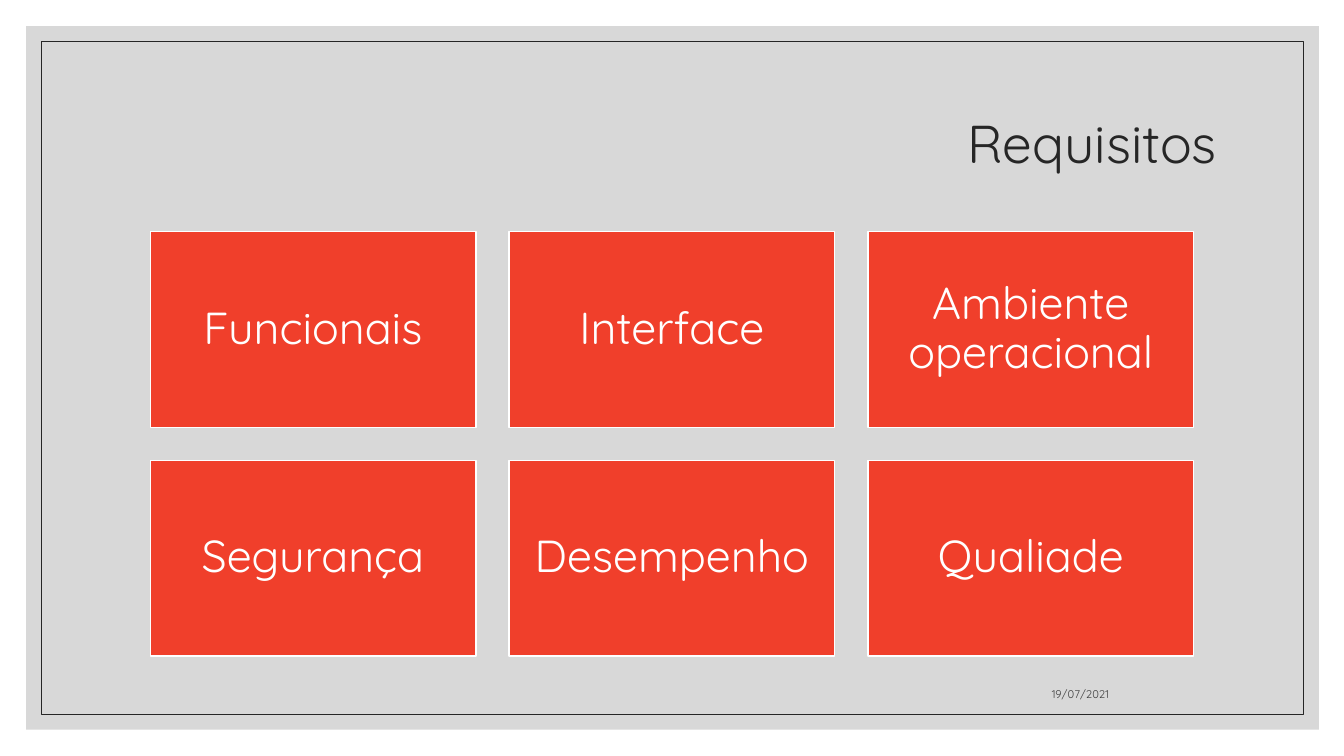
from pptx import Presentation
from pptx.dml.color import RGBColor
from pptx.enum.shapes import MSO_SHAPE
from pptx.enum.text import MSO_ANCHOR, PP_ALIGN
from pptx.oxml.ns import qn
from pptx.util import Pt
from lxml.etree import SubElement

PX = 9144  # 100 px to the inch
FONT = "Quicksand"
COLORS = {
    "panel": "BFBFBF",
    "ink": "262626",
    "date": "404040",
    "tile": "F03F2B",
    "white": "FFFFFF",
}
REQUIREMENTS = [
    "Funcionais", "Interface", "Ambiente operacional",
    "Segurança", "Desempenho", "Qualiade",
]


def rgb(name):
    return RGBColor.from_string(COLORS[name])


def emu(*lengths):
    return [n * PX for n in lengths]


def add_rect(s, box, fill=None, line=None, width=1, alpha=None):
    sp = s.shapes.add_shape(MSO_SHAPE.RECTANGLE, *emu(*box))
    sp.shadow.inherit = False
    if fill:
        sp.fill.solid()
        sp.fill.fore_color.rgb = rgb(fill)
        if alpha:
            color = sp.fill._xPr.find(qn("a:solidFill"))[0]
            SubElement(color, qn("a:alpha"), val=str(alpha * 1000))
    else:
        sp.fill.background()
    if line:
        sp.line.color.rgb = rgb(line)
        sp.line.width = Pt(width)
    else:
        sp.line.fill.background()
    return sp


def write(sp, text, size, color, align=PP_ALIGN.RIGHT,
          anchor=MSO_ANCHOR.MIDDLE, spacing=0.9, insets=(10, 5)):
    tf = sp.text_frame
    tf.word_wrap = True
    tf.vertical_anchor = anchor
    tf.margin_left = tf.margin_right = insets[0] * PX
    tf.margin_top = tf.margin_bottom = insets[1] * PX
    p = tf.paragraphs[0]
    p.alignment = align
    p.line_spacing = spacing
    r = p.add_run()
    r.text = text
    r.font.name = FONT
    r.font.size = Pt(size)
    r.font.color.rgb = rgb(color)


def add_text(s, box, text, size, color, **fmt):
    write(s.shapes.add_textbox(*emu(*box)), text, size, color, **fmt)


def add_frame(s, x, y, w, h, inset=15):
    add_rect(s, (x, y, w, h), fill="panel", alpha=60)
    inner = (x + inset, y + inset, w - 2 * inset, h - 2 * inset)
    add_rect(s, inner, line="ink", width=0.5)


def add_tiles(s, x, y, w, h, labels, cols=3, gap=33):
    rows = len(labels) // cols
    tile_w = (w - gap * (cols - 1)) // cols
    tile_h = (h - gap * (rows - 1)) // rows
    for i, label in enumerate(labels):
        row, col = divmod(i, cols)
        box = (x + col * (tile_w + gap), y + row * (tile_h + gap), tile_w, tile_h)
        write(add_rect(s, box, fill="tile", line="white"), label, 32, "white",
              align=PP_ALIGN.CENTER, insets=(13, 13))


def main():
    prs = Presentation()
    prs.slide_width, prs.slide_height = emu(1333, 750)
    s = prs.slides.add_slide(prs.slide_layouts[6])
    add_frame(s, 26, 26, 1282, 698)
    add_text(s, (117, 70, 1100, 150), "Requisitos", 38, "ink")
    add_text(s, (794, 660, 316, 40), "19/07/2021", 8, "date",
             anchor=MSO_ANCHOR.BOTTOM, spacing=1.0)
    add_tiles(s, 149, 230, 1035, 421, REQUIREMENTS)
    prs.save("out.pptx")


if __name__ == "__main__":
    main()
